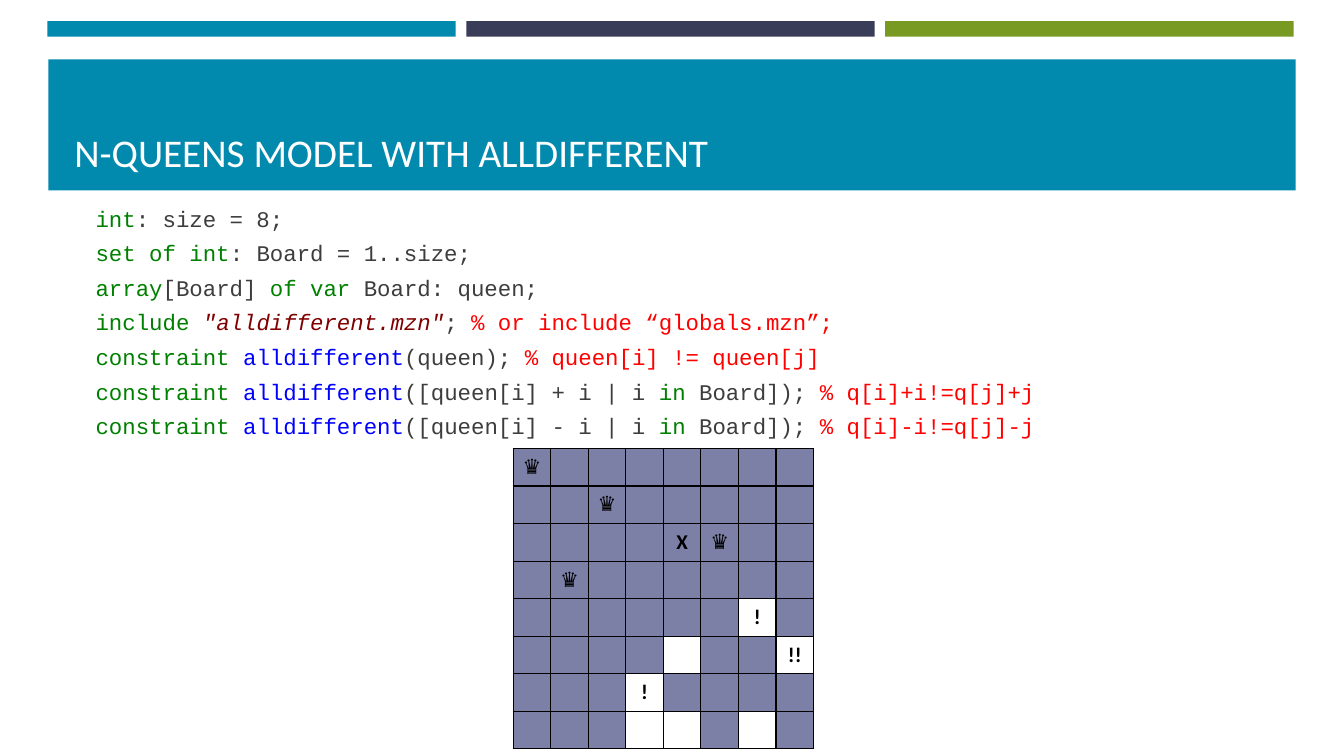
from typing import NamedTuple

from lxml.etree import SubElement
from pptx import Presentation
from pptx.dml.color import RGBColor
from pptx.enum.shapes import MSO_SHAPE
from pptx.enum.text import MSO_ANCHOR, PP_ALIGN
from pptx.oxml.ns import qn
from pptx.util import Emu, Inches, Pt

WIDTH, HEIGHT = Inches(13.33), Inches(7.5)
HUES = {
    "teal": "028AAE", "navy": "3A3D57", "olive": "799A22", "white": "FFFFFF",
    "black": "000000", "tile": "7C80A7", "key": "008000", "plain": "3D3D3D",
    "string": "800000", "call": "0000FF", "note": "FF0000",
}


class Box(NamedTuple):
    """A frame in percent of the slide's width and height."""
    left: float
    top: float
    width: float
    height: float

    def place(self) -> tuple[Emu, ...]:
        """Turn the shares into lengths."""
        sides = (WIDTH, HEIGHT, WIDTH, HEIGHT)
        return tuple(Emu(round(side * part / 100)) for side, part in zip(sides, self))


class Bar(NamedTuple):
    """A plain filled block."""
    box: Box
    hue: str


class Span(NamedTuple):
    """A piece of code in one colour."""
    text: str
    hue: str = "plain"


class Mark(NamedTuple):
    """The look of one kind of square."""
    text: str
    hue: str
    bold: bool = False


STRIPE, STEP = Box(3.53, 2.8, 30.38, 2.05), 31.17
BARS = [
    Bar(STRIPE._replace(left=STRIPE.left + STEP * i), hue)
    for i, hue in enumerate(("teal", "navy", "olive"))
] + [Bar(Box(3.6, 7.87, 92.8, 17.33), "teal")]
TITLE = Box(4.8, 9.47, 90.47, 14.4)
CODE = Box(6.38, 25.47, 87.4, 34)
BOARD = Box(38.18, 59.33, 22.36, 39.73)


def sums(sign: str) -> list[Span]:
    """Give the constraint for one direction of diagonals."""
    return [
        Span("constraint ", "key"), Span("alldifferent", "call"),
        Span(f"([queen[i] {sign} i | i "), Span("in", "key"),
        Span(" Board]); "), Span(f"% q[i]{sign}i!=q[j]{sign}j", "note"),
    ]


LINES = [
    [Span("int", "key"), Span(": size = 8;")],
    [Span("set of int", "key"), Span(": Board = 1..size;")],
    [Span("array", "key"), Span("[Board] "), Span("of var", "key"), Span(" Board: queen;")],
    [Span("include ", "key"), Span('"alldifferent.mzn"', "string"), Span("; "),
     Span("% or include “globals.mzn”;", "note")],
    [Span("constraint ", "key"), Span("alldifferent", "call"), Span("(queen); "),
     Span("% queen[i] != queen[j]", "note")],
    sums("+"),
    sums("-"),
]

MARKS = {
    ".": Mark("", "tile"), "o": Mark("", "white"), "Q": Mark("♛", "tile"),
    "X": Mark("X", "tile", True), "1": Mark("!", "white", True),
    "2": Mark("!!", "white", True),
}
ROWS = ["Q.......", "..Q.....", "....XQ..", ".Q......",
        "......1.", "....o..2", "...1....", "...oo.o."]


def tint(name: str) -> RGBColor:
    """Look up a colour."""
    return RGBColor.from_string(HUES[name])


def style(font, face: str, size: float, hue: str) -> None:
    """Set face, size and colour of a font."""
    font.name, font.size = face, Pt(size)
    font.color.rgb = tint(hue)


def add_bar(slide, bar: Bar) -> None:
    """Draw a block with no outline."""
    shape = slide.shapes.add_shape(MSO_SHAPE.RECTANGLE, *bar.box.place())
    shape.shadow.inherit = False
    shape.fill.solid()
    shape.fill.fore_color.rgb = tint(bar.hue)
    shape.line.fill.background()


def add_frame(slide, box: Box, anchor: MSO_ANCHOR):
    """Add a wrapping text box and return its frame."""
    frame = slide.shapes.add_textbox(*box.place()).text_frame
    frame.word_wrap = True
    frame.vertical_anchor = anchor
    return frame


def add_title(slide, text: str) -> None:
    """Write the heading."""
    frame = add_frame(slide, TITLE, MSO_ANCHOR.BOTTOM)
    frame.text = text
    style(frame.paragraphs[0].runs[0].font, "Calibri", 28, "white")


def add_code(slide, lines: list[list[Span]]) -> None:
    """Write the coloured code."""
    frame = add_frame(slide, CODE, MSO_ANCHOR.MIDDLE)
    for i, line in enumerate(lines):
        para = frame.add_paragraph() if i else frame.paragraphs[0]
        para.line_spacing, para.space_before = 1.07, Pt(4.2)
        for span in line:
            run = para.add_run()
            run.text = span.text
            style(run.font, "Courier New", 16, span.hue)
            run.font.italic = span.hue == "string"


def add_edges(cell) -> None:
    """Rule all four sides of a cell."""
    props = cell._tc.get_or_add_tcPr()
    for side in ("lnL", "lnR", "lnT", "lnB"):
        edge = SubElement(props, qn(f"a:{side}"), w=str(Pt(1)))
        fill = SubElement(edge, qn("a:solidFill"))
        SubElement(fill, qn("a:srgbClr"), val=HUES["black"])


def fill_cell(cell, mark: Mark) -> None:
    """Paint a square and write its sign."""
    add_edges(cell)
    cell.fill.solid()
    cell.fill.fore_color.rgb = tint(mark.hue)
    cell.vertical_anchor = MSO_ANCHOR.MIDDLE
    cell.margin_left = cell.margin_right = Inches(0.09)
    cell.margin_top = cell.margin_bottom = Inches(0.05 if mark.text else 0)
    if mark.text:
        cell.text_frame.text = mark.text
        para = cell.text_frame.paragraphs[0]
        para.alignment = PP_ALIGN.CENTER
        style(para.runs[0].font, "Calibri", 15, "black")
        para.runs[0].font.bold = mark.bold


def add_board(slide, rows: list[str]) -> None:
    """Lay out the chess board."""
    size = len(rows)
    table = slide.shapes.add_table(size, size, *BOARD.place()).table
    table.first_row = table.horz_banding = False
    for r, row in enumerate(rows):
        for c, sign in enumerate(row):
            fill_cell(table.cell(r, c), MARKS[sign])


def main() -> None:
    """Build and save the slide."""
    deck = Presentation()
    deck.slide_width, deck.slide_height = WIDTH, HEIGHT
    slide = deck.slides.add_slide(deck.slide_layouts[6])
    for bar in BARS:
        add_bar(slide, bar)
    add_code(slide, LINES)
    add_board(slide, ROWS)
    add_title(slide, "N-QUEENS MODEL WITH ALLDIFFERENT")
    deck.save("out.pptx")


if __name__ == "__main__":
    main()
